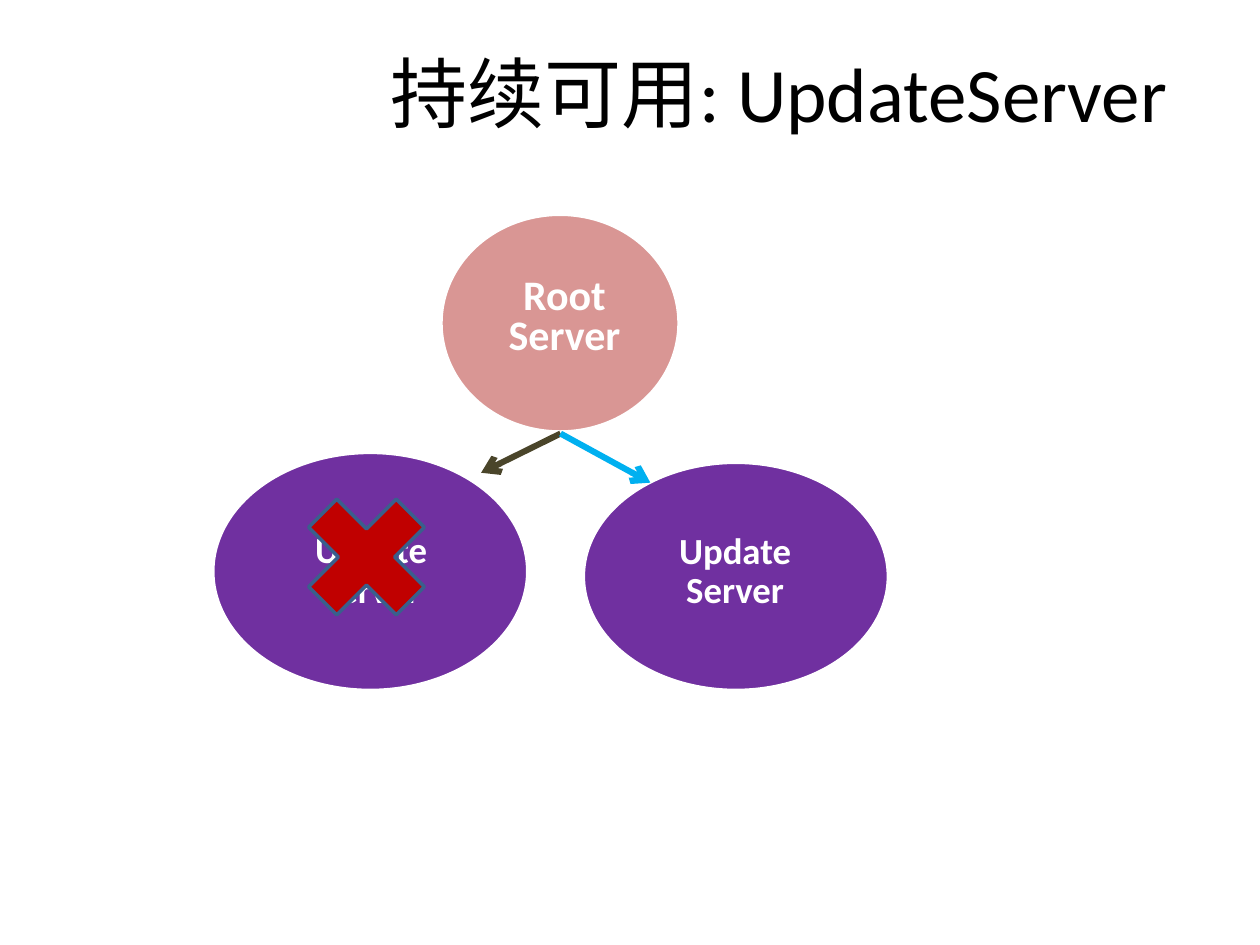
from pptx import Presentation
from pptx.util import Cm, Pt
from pptx.dml.color import RGBColor
from pptx.enum.shapes import MSO_CONNECTOR, MSO_SHAPE
from pptx.enum.text import MSO_ANCHOR, PP_ALIGN
from pptx.oxml.ns import qn
from lxml.etree import SubElement

FONT = "Calibri"
TITLE = ("持续可用: UpdateServer", (7.29, 0.76, 16.84, 2.16))
SERVERS = [
    (("Root", "Server"), "D99694", 24, 0.8, (8.89, 4.32, 4.8, 4.39), (9.55, 4.75, 3.66, 3.35)),
    (("Update", "Server"), "7030A0", 21, 0.9, (4.29, 9.12, 6.35, 4.8), (5.23, 9.83, 4.5, 3.4)),
    (("Update", "Server"), "7030A0", 21, 0.9, (11.76, 9.32, 6.15, 4.6), (12.65, 9.91, 4.34, 3.25)),
]
ROOT_BOTTOM = (11.3, 8.74)
FAILED_LINK = ((9.7, 9.53), "4A452A")
LIVE_LINK = ((13.11, 9.73), "00B0F0")
CROSS = (5.69, 9.53, 3.4, 3.4)


def cm(values):
    return [Cm(v) for v in values]


def rgb(value):
    return RGBColor.from_string(value)


def add_filled(s, kind, box, fill, line):
    sp = s.shapes.add_shape(kind, *cm(box))
    sp.shadow.inherit = False
    sp.fill.solid()
    sp.fill.fore_color.rgb = rgb(fill)
    sp.line.color.rgb = rgb(line)
    sp.line.width = Pt(2)


def style(p, size, color, bold=False):
    p.alignment = PP_ALIGN.CENTER
    p.font.name = FONT
    p.font.size = Pt(size)
    p.font.bold = bold
    p.font.color.rgb = rgb(color)


def add_server(s, lines, fill, size, spacing, oval, label):
    add_filled(s, MSO_SHAPE.OVAL, oval, fill, "FFFFFF")
    tf = s.shapes.add_textbox(*cm(label)).text_frame
    tf.word_wrap = True
    tf.vertical_anchor = MSO_ANCHOR.MIDDLE
    tf.margin_left = tf.margin_right = tf.margin_top = tf.margin_bottom = Cm(0.03)
    tf.text = "\n".join(lines)
    for p in tf.paragraphs:
        p.line_spacing = spacing
        style(p, size, "FFFFFF", True)


def add_arrow(s, end, color):
    c = s.shapes.add_connector(MSO_CONNECTOR.STRAIGHT, *cm(ROOT_BOTTOM + end))
    c.line.color.rgb = rgb(color)
    c.line.width = Pt(3.5)
    SubElement(c.line._get_or_add_ln(), qn("a:tailEnd"), type="arrow")
    SubElement(c._element.spPr, qn("a:effectLst"))


def main():
    prs = Presentation()
    prs.slide_width, prs.slide_height = Cm(25.4), Cm(19.05)
    s = prs.slides.add_slide(prs.slide_layouts[5])
    text, box = TITLE
    sp = s.shapes.title
    sp.left, sp.top, sp.width, sp.height = cm(box)
    tf = sp.text_frame
    tf.text = text
    tf.vertical_anchor = MSO_ANCHOR.MIDDLE
    style(tf.paragraphs[0], 44, "000000")

    for server in SERVERS:
        add_server(s, *server)
    add_arrow(s, *FAILED_LINK)
    add_filled(s, MSO_SHAPE.MATH_MULTIPLY, CROSS, "C00000", "3A5F8C")
    add_arrow(s, *LIVE_LINK)
    prs.save("out.pptx")


if __name__ == "__main__":
    main()
